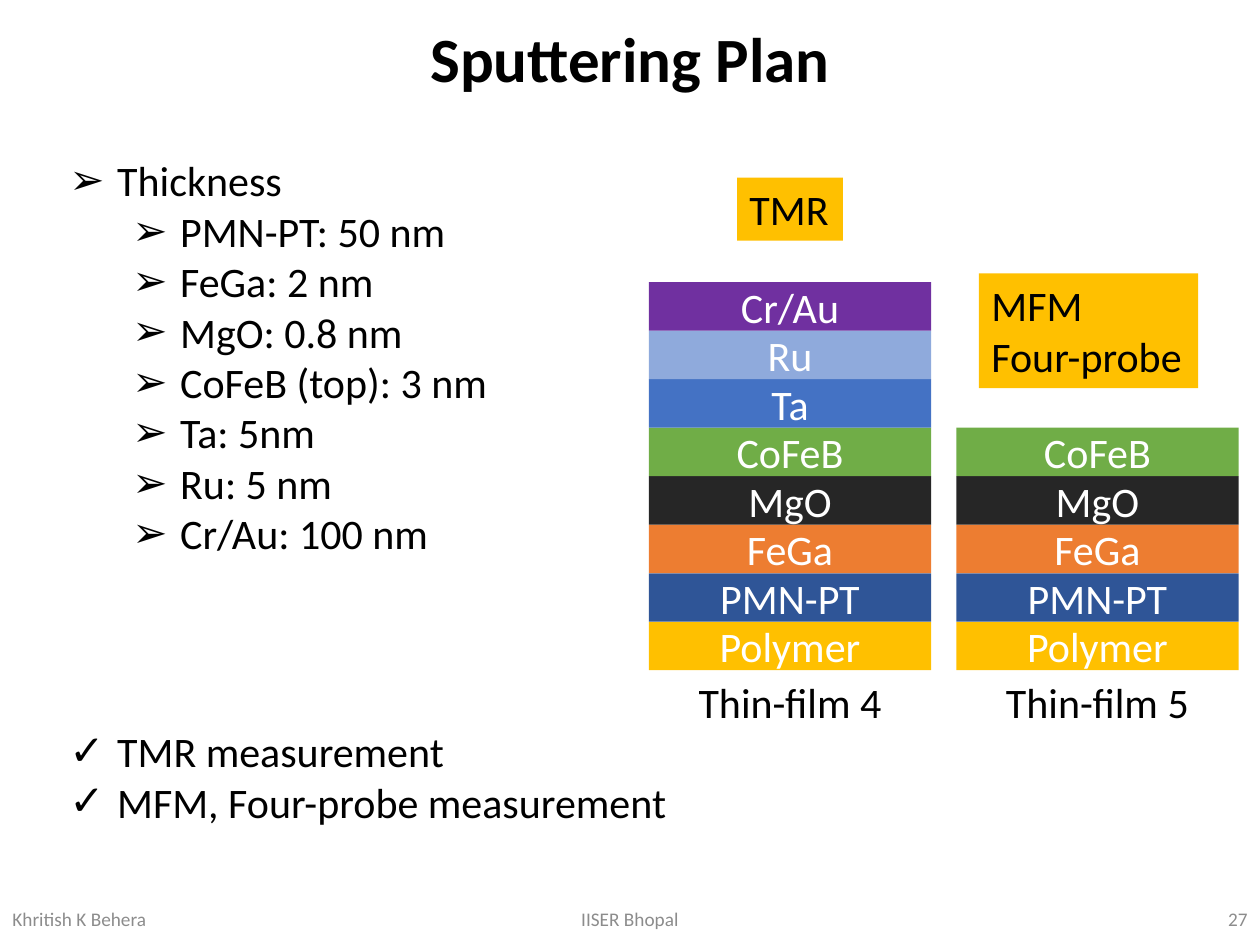
"""Build the sputtering plan slide with two thin-film stacks."""
from lxml import etree
from pptx import Presentation
from pptx import util as u
from pptx.dml.color import RGBColor
from pptx.enum import shapes, text
from pptx.oxml.ns import qn

HUES = {"ink": "000000", "paper": "FFFFFF", "gray": "8C8C8C", "gold": "FFC000",
        "navy": "2F5597", "orange": "ED7D31", "black": "262626",
        "green": "70AD47", "blue": "4472C4", "sky": "8FAADC", "plum": "7030A0"}
LAYERS = [("Polymer", "gold"), ("PMN-PT", "navy"), ("FeGa", "orange"),
          ("MgO", "black"), ("CoFeB", "green"), ("Ta", "blue"),
          ("Ru", "sky"), ("Cr/Au", "plum")]
FILMS = [("Thin-film 4", 5.15, 8), ("Thin-film 5", 7.59, 5)]
TAGS = [(["TMR"], (5.85, 1.41, 0.84, 0.5)),
        (["MFM", "Four-probe"], (7.77, 2.17, 1.74, 0.91))]
DEPTHS = ["PMN-PT: 50 nm", "FeGa: 2 nm", "MgO: 0.8 nm", "CoFeB (top): 3 nm",
          "Ta: 5nm", "Ru: 5 nm", "Cr/Au: 100 nm"]
LISTS = [("➢", [("Thickness", 0)] + [(item, 1) for item in DEPTHS],
          (0.45, 1.18, 5.23, 3.33)),
         ("✓", [("TMR measurement", 0), ("MFM, Four-probe measurement", 0)],
          (0.45, 5.71, 5.54, 0.91))]
FOOT = [("Khritish K Behera", 0, 2.25, "LEFT"),
        ("IISER Bhopal", 3.31, 3.38, "CENTER"), ("27", 7.75, 2.25, "RIGHT")]
WIDE, TOP, BASE = 2.24, 2.24, 5.32
HIGH = (BASE - TOP) / len(LAYERS)


def place(shape, box):
    for name, size in zip(("left", "top", "width", "height"), box):
        setattr(shape, name, u.Inches(size))


def write(shape, lines, hue="ink", size=24, align="LEFT", anchor="TOP",
          wrap=True, bold=False, space=1.0):
    frame = shape.text_frame
    frame.text = "\n".join(lines)
    look = {"word_wrap": wrap, "auto_size": text.MSO_AUTO_SIZE.NONE,
            "vertical_anchor": getattr(text.MSO_ANCHOR, anchor)}
    for name, value in look.items():
        setattr(frame, name, value)
    for para in frame.paragraphs:
        form = {"alignment": getattr(text.PP_ALIGN, align),
                "space_before": u.Pt(0), "line_spacing": space}
        for name, value in form.items():
            setattr(para, name, value)
        font = para.runs[0].font
        for name, value in {"name": "Calibri", "size": u.Pt(size), "bold": bold}.items():
            setattr(font, name, value)
        font.color.rgb = RGBColor.from_string(HUES[hue])


def label(slide, lines, box, **form):
    shape = slide.shapes.add_textbox(*map(u.Inches, box))
    write(shape, lines, **form)


def block(home, lines, box, fill, **form):
    shape = home.shapes.add_shape(shapes.MSO_SHAPE.RECTANGLE, *map(u.Inches, box))
    shape.shadow.inherit = False
    shape.fill.solid()
    shape.fill.fore_color.rgb = RGBColor.from_string(HUES[fill])
    shape.line.fill.background()
    write(shape, lines, **form)


def bullet(para, mark, level):
    para.level = level
    props = para._p.get_or_add_pPr()
    props.set("marL", str(u.Inches(0.38 + 0.5 * level)))
    props.set("indent", str(u.Inches(-0.38)))
    etree.SubElement(props, qn("a:buChar")).set("char", mark)


def main():
    deck = Presentation()
    deck.slide_width, deck.slide_height = u.Inches(10), u.Inches(7.5)
    slide = deck.slides.add_slide(deck.slide_layouts[3])
    title, *bodies = slide.placeholders
    place(title, (0, 0.01, 10, 0.96))
    write(title, ["Sputtering Plan"], size=36, align="CENTER",
          anchor="MIDDLE", bold=True, space=0.9)
    for body, (mark, items, box) in zip(bodies, LISTS):
        place(body, box)
        write(body, [item for item, _ in items])
        for para, (_, level) in zip(body.text_frame.paragraphs, items):
            bullet(para, mark, level)
    for name, left, count in FILMS:
        stack = slide.shapes.add_group_shape()
        for row, (layer, fill) in enumerate(LAYERS[:count], 1):
            block(stack, [layer], (left, BASE - row * HIGH, WIDE, HIGH), fill,
                  hue="paper", align="CENTER", anchor="MIDDLE")
        label(slide, [name], (left + 0.29, BASE, WIDE - 0.58, 0.5), align="CENTER")
    for lines, box in TAGS:
        block(slide, lines, box, "gold", wrap=False)
    for words, left, width, align in FOOT:
        label(slide, [words], (left, 7.09, width, 0.4), hue="gray", size=11,
              align=align, anchor="MIDDLE")
    deck.save("out.pptx")


if __name__ == "__main__":
    main()
